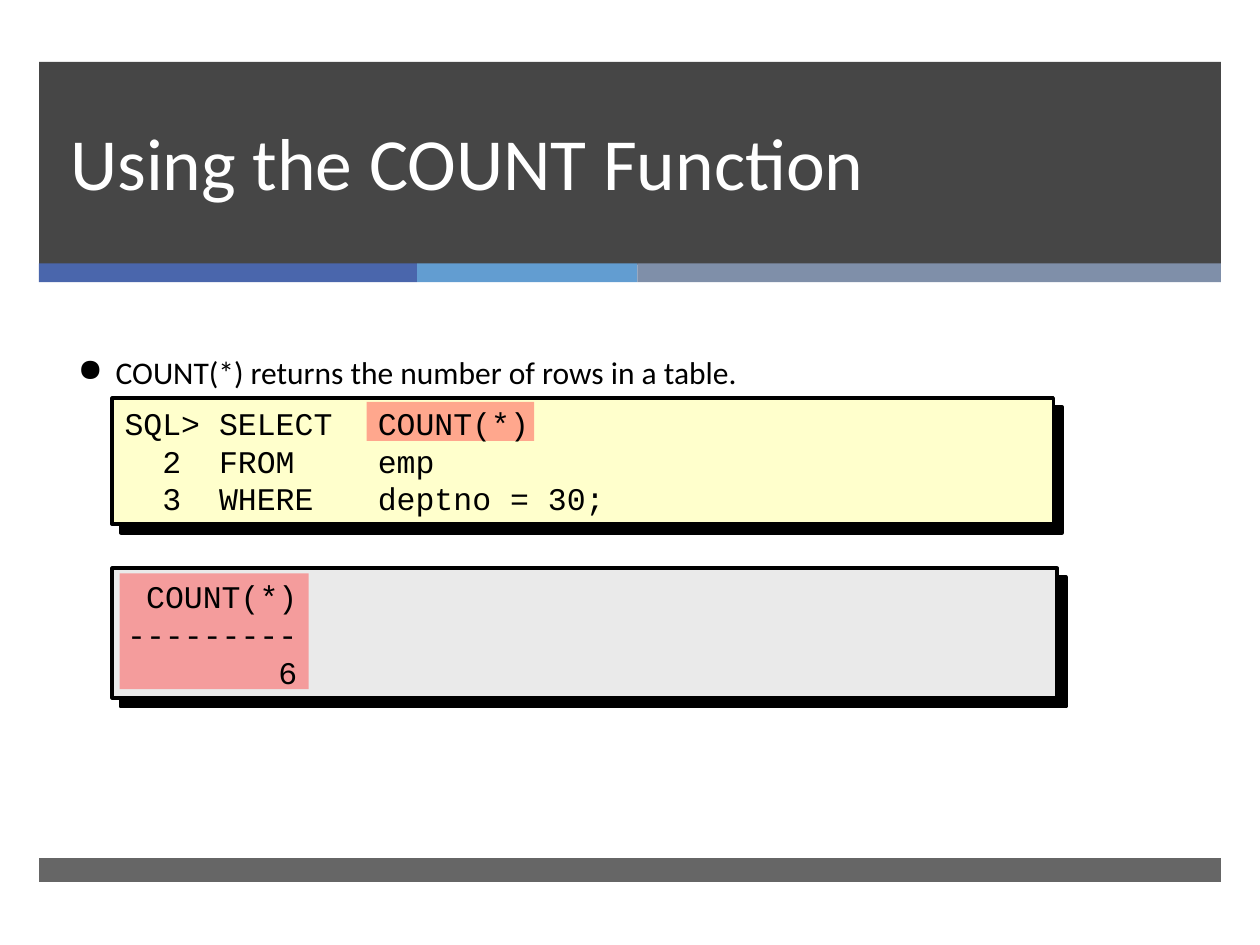
"""Builds a slide that explains the SQL COUNT function."""
from lxml import etree
from pptx import Presentation
from pptx.dml.color import RGBColor
from pptx.enum.shapes import MSO_SHAPE
from pptx.enum.text import MSO_ANCHOR, PP_ALIGN
from pptx.oxml.ns import qn
from pptx.util import Inches, Pt

RECTANGLE = MSO_SHAPE.RECTANGLE
TOP, MIDDLE, BOTTOM = MSO_ANCHOR.TOP, MSO_ANCHOR.MIDDLE, MSO_ANCHOR.BOTTOM
LEFT, RIGHT = PP_ALIGN.LEFT, PP_ALIGN.RIGHT

COLORS = {
    "dark": "262626", "blue": "4A66AC", "sky": "629DD1", "slate": "7F8FA9",
    "code": "FFFFCC", "result": "EAEAEA", "highlight": "FF5050",
    "black": "000000", "white": "FFFFFF",
}

TITLE = "Using the COUNT Function"
POINT = "COUNT(*) returns the number of rows in a table."
QUERY = ["SQL> SELECT\tCOUNT(*)", "  2  FROM\temp", "  3  WHERE\tdeptno = 30;"]
RESULT = ["COUNT(*)", "---------", "6"]

BAND_LEFT, BAND_WIDTH = 0.31, 9.38
BANDS = [(0.49, 1.61, 85), (6.81, 0.19, 70)]
STRIPES = [("blue", 3), ("sky", 1.75), ("slate", 4.63)]
PANELS = [("code", (0.89, 3.16, 7.47, 1)), ("result", (0.89, 4.51, 7.5, 1.03))]
HIGHLIGHTS = [(2.91, 3.19, 1.33, 0.31), (0.95, 4.55, 1.5, 0.92)]


def add_block(page, place, color, opacity=100):
    block = page.shapes.add_shape(RECTANGLE, *map(Inches, place))
    block.shadow.inherit = False
    block.fill.solid()
    block.fill.fore_color.rgb = RGBColor.from_string(COLORS[color])
    block.line.fill.background()
    if opacity < 100:
        tint = next(block.fill._xPr.iter(qn("a:srgbClr")))
        etree.SubElement(tint, qn("a:alpha"), val=str(opacity * 1000))
    return block


def add_panel(page, color, place):
    panel = add_block(page, place, color)
    panel.line.color.rgb = RGBColor.from_string(COLORS["black"])
    panel.line.width = Pt(2)
    effects = panel._element.spPr.find(qn("a:effectLst"))
    shadow = etree.SubElement(effects, qn("a:outerShdw"), dist=str(Pt(7.1)),
                              dir="2700000", algn="ctr", rotWithShape="0")
    etree.SubElement(shadow, qn("a:srgbClr"), val=COLORS["black"])


def add_text(page, place, lines, font, size, color="black", anchor=TOP, align=LEFT):
    frame = page.shapes.add_textbox(*map(Inches, place)).text_frame
    frame.word_wrap = True
    frame.vertical_anchor = anchor
    frame.text = "\n".join(lines)
    for para in frame.paragraphs:
        para.alignment = align
        for span in para.runs:
            span.font.name = font
            span.font.size = Pt(size)
            span.font.color.rgb = RGBColor.from_string(COLORS[color])
    return frame


def add_bullet(para, indent):
    props = para._p.get_or_add_pPr()
    props.set("marL", str(Inches(indent)))
    props.set("indent", str(-Inches(indent)))
    etree.SubElement(props, qn("a:buChar"), char="●")


def add_tab(para, position):
    tabs = etree.SubElement(para._p.get_or_add_pPr(), qn("a:tabLst"))
    etree.SubElement(tabs, qn("a:tab"), pos=str(Inches(position)), algn="l")


def main():
    deck = Presentation()
    deck.slide_width, deck.slide_height = Inches(10), Inches(7.5)
    page = deck.slides.add_slide(deck.slide_layouts[6])

    for top, height, opacity in BANDS:
        add_block(page, (BAND_LEFT, top, BAND_WIDTH, height), "dark", opacity)
    left = BAND_LEFT
    for color, width in STRIPES:
        add_block(page, (left, 2.09, width, 0.15), color)
        left += width

    title = add_text(page, (0.46, 0.49, 8.54, 1.19), [TITLE], "Calibri", 42, "white", BOTTOM)
    title.paragraphs[0].line_spacing = Pt(46)
    point = add_text(page, (0.52, 2.44, 6.83, 0.71), [POINT], "Calibri", 18, anchor=BOTTOM)
    add_bullet(point.paragraphs[0], 0.3)

    for color, place in PANELS:
        add_panel(page, color, place)
    for place in HIGHLIGHTS:
        add_block(page, place, "highlight", 50)

    result = add_text(page, (0.91, 4.53, 7.47, 1), RESULT, "Courier New", 18, align=RIGHT)
    result.margin_right = Inches(6.02)
    query = add_text(page, (0.89, 3.14, 7.5, 1.03), QUERY, "Courier New", 18, anchor=MIDDLE)
    for para in query.paragraphs:
        add_tab(para, 2.01)

    deck.save("out.pptx")


if __name__ == "__main__":
    main()
